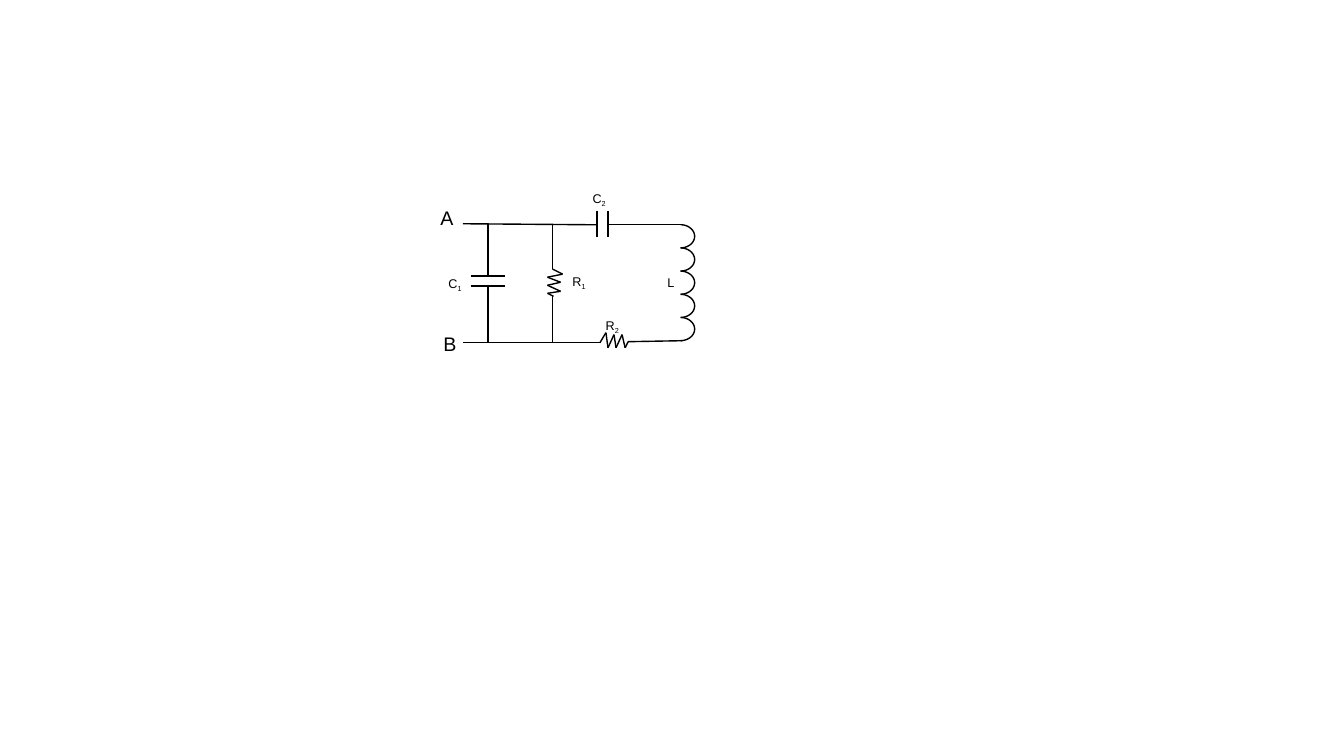
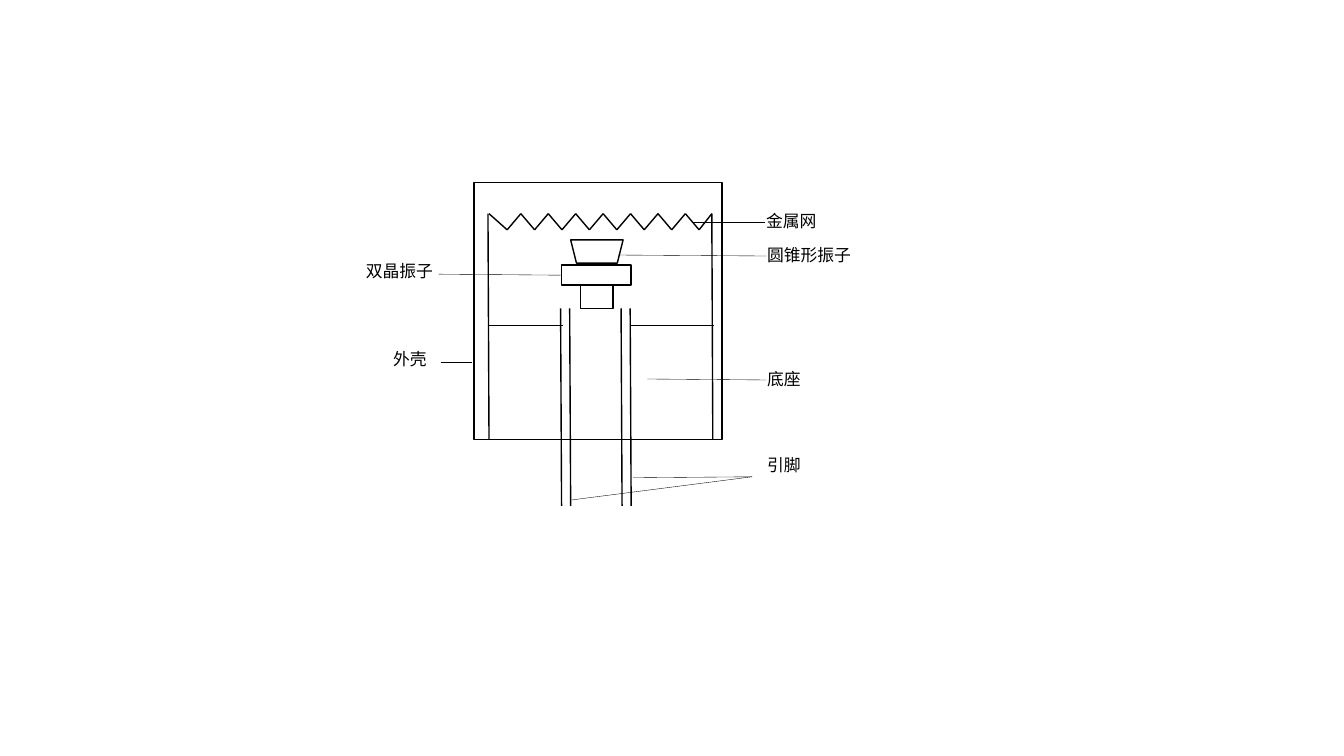
from dataclasses import dataclass
from itertools import pairwise
from math import cos, pi, sin

from lxml.etree import SubElement
from pptx import Presentation
from pptx.dml.color import RGBColor
from pptx.enum.shapes import MSO_CONNECTOR as CONNECTOR, MSO_SHAPE as SHAPE
from pptx.enum.text import MSO_AUTO_SIZE as AUTO_SIZE
from pptx.oxml.ns import qn
from pptx.util import Inches, Pt

BLACK = RGBColor(0x00, 0x00, 0x00)
LATIN_FONT = "Arial"
CHINESE_FONT = "Noto Sans CJK SC"
WIRE, PLATE, LEADER = Pt(1), Pt(1.25), Pt(0.25)
TERMINAL = {"name": LATIN_FONT, "size": Pt(14)}
COMPONENT = {"name": LATIN_FONT, "size": Pt(9)}
CAPTION = {"name": CHINESE_FONT, "size": Pt(12)}


@dataclass
class Box:
    """A region of a slide, in inches."""
    left: float
    top: float
    width: float
    height: float

    def at(self, x, y):
        """Turn an offset from the top left corner into slide lengths."""
        return Inches(self.left + x), Inches(self.top + y)


def draw_line(shapes, box, start, end, weight=WIRE):
    """Draw one straight black line without a shadow."""
    line = shapes.add_connector(CONNECTOR.STRAIGHT, *box.at(*start), *box.at(*end))
    line.line.color.rgb = BLACK
    line.line.width = weight
    SubElement(line._element.spPr, qn("a:effectLst"))


def draw_zigzag(shapes, box, points):
    """Join successive points with lines."""
    for start, end in pairwise(points):
        draw_line(shapes, box, start, end)


def outline(shape):
    """Leave a shape unfilled with a thin black outline."""
    shape.shadow.inherit = False
    shape.fill.background()
    shape.line.color.rgb = BLACK
    shape.line.width = WIRE


def draw_shape(shapes, box, kind, x, y, width, height):
    """Draw an outlined preset shape."""
    shape = shapes.add_shape(kind, *box.at(x, y), Inches(width), Inches(height))
    outline(shape)
    return shape


def draw_label(shapes, box, text, x, y, size, format_values, subscript="",
               auto_size=AUTO_SIZE.SHAPE_TO_FIT_TEXT):
    """Write a label, with a subscript where one is given."""
    label = shapes.add_textbox(*box.at(x, y), *map(Inches, size))
    label.text_frame.word_wrap = True
    label.text_frame.auto_size = auto_size
    paragraph = label.text_frame.paragraphs[0]
    for part in filter(None, (text, subscript)):
        run = paragraph.add_run()
        run.text = part
        run.font.color.rgb = BLACK
        for name, value in format_values.items():
            setattr(run.font, name, value)
        properties = run._r.get_or_add_rPr()
        SubElement(properties, qn("a:ea"), typeface=format_values["name"])
        if part == subscript:
            properties.set("baseline", "-25000")


def draw_coil(shapes, box, x, y, turns=5, width=0.14, pitch=0.23, steps=24):
    """Stack half-ellipse turns downwards from a point."""
    for turn in range(turns):
        angles = [pi * step / steps for step in range(steps + 1)]
        points = [box.at(x + width * sin(angle),
                         y + pitch * (turn + (1 - cos(angle)) / 2))
                  for angle in angles]
        builder = shapes.build_freeform(*points[0])
        builder.add_line_segments(points[1:], close=False)
        outline(builder.convert_to_shape())


def draw_circuit(slide, box):
    """Draw the equivalent circuit between terminals A and B."""
    shapes = slide.shapes
    bottom = box.height
    wires = [
        ((0, 0), (1.32, 0.01)), ((1.43, 0.01), (box.width, 0.01)),
        ((0, bottom), (1.37, bottom)), ((1.64, 1.17), (2.18, 1.16)),
        ((0.25, 0), (0.25, 0.52)), ((0.25, 0.63), (0.25, bottom)),
        ((0.89, 0), (0.89, 0.45)), ((0.89, 0.72), (0.89, bottom)),
    ]
    for start, end in wires:
        draw_line(shapes, box, start, end)
    for y in (0.52, 0.62):
        draw_line(shapes, box, (0.08, y), (0.42, y), PLATE)
    for x in (1.33, 1.44):
        draw_line(shapes, box, (x, -0.13), (x, 0.13), PLATE)

    draw_zigzag(shapes, box, [
        (0.89, 0.45), (0.99, 0.5), (0.84, 0.53), (0.97, 0.58),
        (0.84, 0.61), (0.97, 0.67), (0.84, 0.69), (0.9, 0.72)])
    draw_zigzag(shapes.add_group_shape().shapes, box, [
        (1.36, 1.18), (1.42, 1.08), (1.44, 1.23), (1.5, 1.1),
        (1.52, 1.23), (1.58, 1.1), (1.61, 1.23), (1.64, 1.17)])
    draw_coil(shapes, box, box.width, 0.01)

    for text, x, y in (("A", -0.32, -0.23), ("B", -0.29, 1.02)):
        draw_label(shapes, box, text, x, y, (0.86, 0.34), TERMINAL)
    components = [
        ("C", "1", -0.24, 0.47), ("C", "2", 1.19, -0.38),
        ("R", "1", 0.99, 0.45), ("R", "2", 1.32, 0.88), ("L", "", 1.93, 0.46),
    ]
    for text, subscript, x, y in components:
        draw_label(shapes, box, text, x, y, (0.86, 0.25), COMPONENT, subscript)


def draw_sensor(slide, box):
    """Draw the sensor in section: case, mesh, vibrators, base and pins."""
    shapes = slide.shapes
    draw_shape(shapes, box, SHAPE.RECTANGLE, 0, 0, box.width, box.height)
    draw_shape(shapes, box, SHAPE.RECTANGLE, 0.87, 0.82, 0.69, 0.2)
    draw_shape(shapes, box, SHAPE.RECTANGLE, 1.06, 1.01, 0.32, 0.24)
    cone = draw_shape(shapes, box, SHAPE.TRAPEZOID, 0.96, 0.57, 0.52, 0.23)
    cone.rotation = 180

    mesh_top, mesh_bottom = 0.31, 0.47
    teeth = [(0.33 + 0.136 * index, mesh_top if index % 2 else mesh_bottom)
             for index in range(15)]
    draw_zigzag(shapes, box, [(0.15, mesh_top), *teeth, (2.36, mesh_top)])
    for x in (0.14, 2.36):
        draw_line(shapes, box, (x, mesh_top), (x + 0.01, box.height))
    for left, right in ((0.14, 0.88), (1.55, 2.38)):
        draw_line(shapes, box, (left, 1.42), (right, 1.42))
    for x in (0.86, 0.95, 1.46, 1.55):
        draw_line(shapes, box, (x, 1.25), (x + 0.01, 3.21))


def draw_captions(slide, box):
    """Name the parts around the sensor and lead a line to each."""
    shapes = slide.shapes
    leaders = [
        ((2.16, 0.39), (2.89, 0.39)), ((1.43, 0.72), (2.9, 0.73)),
        ((1.72, 1.95), (2.9, 1.96)), ((1.58, 2.93), (2.76, 2.92)),
        ((0.97, 3.15), (2.76, 2.92)), ((-0.35, 0.91), (0.86, 0.92)),
        ((-0.33, 1.78), (-0.02, 1.78)),
    ]
    for start, end in leaders:
        draw_line(shapes, box, start, end, LEADER)
    draw_label(shapes, box, "金属网", 2.8, 0.23, (0.86, 0.3), CAPTION)
    captions = [
        ("圆锥形振子", 2.81, 0.57), ("底座", 2.81, 1.8), ("引脚", 2.81, 2.65),
        ("双晶振子", -1.17, 0.73), ("外壳", -0.9, 1.6),
    ]
    for text, x, y in captions:
        draw_label(shapes, box, text, x, y, (1.05, 0.5), CAPTION,
                   auto_size=AUTO_SIZE.NONE)


def main():
    """Build both slides and save them."""
    presentation = Presentation()
    presentation.slide_width = Inches(13.33)
    presentation.slide_height = Inches(7.5)
    blank = presentation.slide_layouts[6]
    draw_circuit(presentation.slides.add_slide(blank), Box(4.59, 2.22, 2.16, 1.18))
    sensor_slide = presentation.slides.add_slide(blank)
    sensor_box = Box(4.7, 1.81, 2.46, 2.55)
    draw_sensor(sensor_slide, sensor_box)
    draw_captions(sensor_slide, sensor_box)
    presentation.save("out.pptx")


main()
